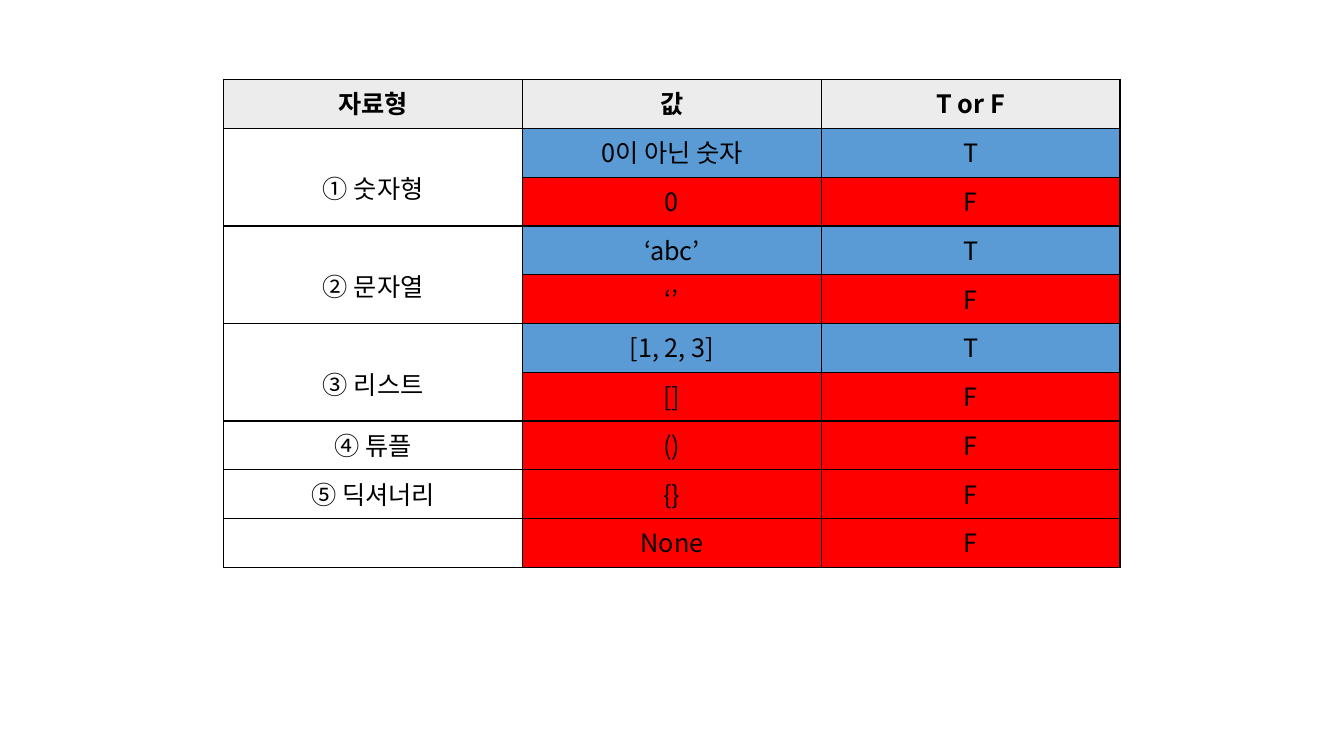
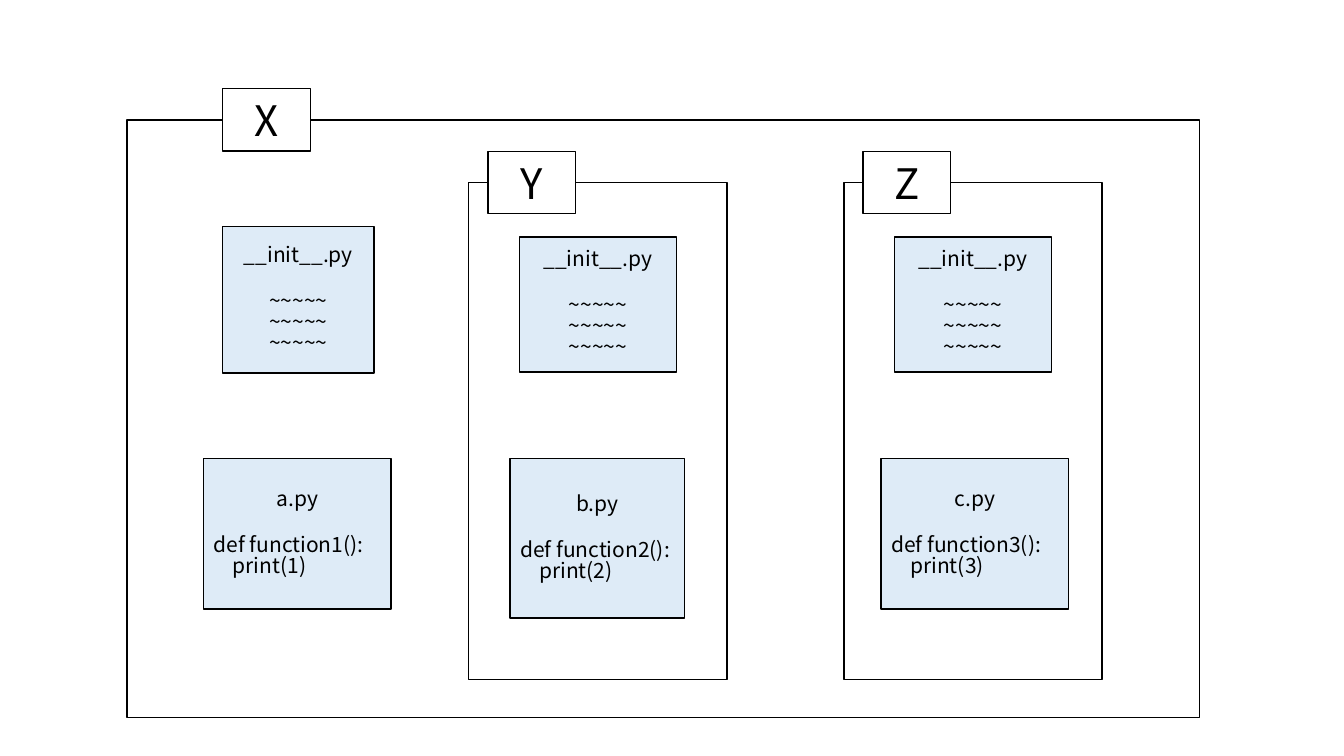
from lxml import etree
from pptx import Presentation
from pptx.dml.color import RGBColor
from pptx.enum.shapes import MSO_SHAPE
from pptx.enum.text import MSO_ANCHOR, PP_ALIGN
from pptx.oxml.ns import qn
from pptx.util import Inches, Pt

RECT = MSO_SHAPE.RECTANGLE
MIDDLE = MSO_ANCHOR.MIDDLE
CENTER, LEFT = PP_ALIGN.CENTER, PP_ALIGN.LEFT


class Theme:
    font = "Noto Sans CJK KR"
    ink, paper, header = "000000", "FFFFFF", "ECECEC"
    true, false, file = "5B9BD5", "FF0000", "DEEBF7"
    table_size, label_size, code_size = 18, 30, 15
    line_width = 1
    code_spacing = 0.83
    blank_line = 18


HEADERS = ["자료형", "값", "T or F"]
TYPES = [
    ("① 숫자형", [("0이 아닌 숫자", "T"), ("0", "F")]),
    ("② 문자열", [("‘abc’", "T"), ("‘’", "F")]),
    ("③ 리스트", [("[1, 2, 3]", "T"), ("[]", "F")]),
    ("④ 튜플", [("()", "F")]),
    ("⑤ 딕셔너리", [("{}", "F")]),
    ("", [("None", "F")]),
]
TABLE_BOX = (2.22, 0.79, 8.89, 4.84)

PACKAGES = [
    {"name": "X", "panel": (1.26, 1.19, 10.64, 5.93), "label_dx": 0.95,
     "init": (2.21, 2.25, 1.5, 1.45), "module": (2.02, 4.55, 1.86, 1.49)},
    {"name": "Y", "panel": (4.65, 1.81, 2.56, 4.93), "label_dx": 0.19,
     "init": (5.15, 2.35, 1.56, 1.34), "module": (5.06, 4.55, 1.73, 1.58)},
    {"name": "Z", "panel": (8.37, 1.81, 2.56, 4.93), "label_dx": 0.19,
     "init": (8.87, 2.35, 1.56, 1.34), "module": (8.74, 4.55, 1.86, 1.49)},
]
MODULES = "abc"
LABEL_W, LABEL_H = 0.87, 0.62
CODE_INDENT = 0.19


def rgb(value):
    return RGBColor.from_string(value)


def write(p, text, size, bold=False, **format_values):
    r = p.add_run()
    r.text = text
    for name, value in {"name": Theme.font, "size": Pt(size), "bold": bold}.items():
        setattr(r.font, name, value)
    r.font.color.rgb = rgb(Theme.ink)
    for name, value in format_values.items():
        setattr(p, name, value)


def paint(fill, color):
    if color:
        fill.solid()
        fill.fore_color.rgb = rgb(color)
    else:
        fill.background()


def add_borders(cell):
    tcPr = cell._tc.get_or_add_tcPr()
    for side in ("a:lnL", "a:lnR", "a:lnT", "a:lnB"):
        ln = etree.SubElement(tcPr, qn(side), w=str(Pt(Theme.line_width)))
        fill = etree.SubElement(ln, qn("a:solidFill"))
        etree.SubElement(fill, qn("a:srgbClr"), val=Theme.ink)


def set_cell(cell, text, color=None, bold=False):
    paint(cell.fill, color)
    if text:
        write(cell.text_frame.paragraphs[0], text, Theme.table_size, bold, alignment=CENTER)


def add_truth_table(s):
    row_count = 1 + sum(len(values) for _, values in TYPES)
    table = s.shapes.add_table(row_count, len(HEADERS), *map(Inches, TABLE_BOX)).table
    table.first_row = table.horz_banding = False
    for cell in table.iter_cells():
        add_borders(cell)
    for col, text in enumerate(HEADERS):
        set_cell(table.cell(0, col), text, Theme.header, True)
    row = 1
    for type_name, values in TYPES:
        first = table.cell(row, 0)
        if len(values) > 1:
            first.merge(table.cell(row + len(values) - 1, 0))
            first.margin_top = Inches(0.41)
        set_cell(first, type_name)
        for value, truth in values:
            color = Theme.true if truth == "T" else Theme.false
            set_cell(table.cell(row, 1), value, color)
            set_cell(table.cell(row, 2), truth, color)
            row += 1


def add_box(s, box, color=None):
    sp = s.shapes.add_shape(RECT, *map(Inches, box))
    sp.shadow.inherit = False
    paint(sp.fill, color)
    sp.line.color.rgb = rgb(Theme.ink)
    sp.line.width = Pt(Theme.line_width)
    tf = sp.text_frame
    tf.word_wrap = True
    tf.vertical_anchor = MIDDLE
    return tf


def add_file(s, box, title, lines, align, last_indent=0):
    tf = add_box(s, box, Theme.file)
    write(tf.paragraphs[0], title, Theme.code_size, alignment=CENTER,
          line_spacing=Theme.code_spacing)
    for i, line in enumerate(lines):
        p = tf.add_paragraph()
        write(p, line, Theme.code_size, alignment=align, line_spacing=Theme.code_spacing,
              space_before=Pt(0 if i else Theme.blank_line))
    p._p.get_or_add_pPr().set("marL", str(Inches(last_indent)))


def add_package(s, number, package):
    left, top = package["panel"][:2]
    add_box(s, package["panel"])
    label = (left + package["label_dx"], top - LABEL_H / 2, LABEL_W, LABEL_H)
    tf = add_box(s, label, Theme.paper)
    write(tf.paragraphs[0], package["name"], Theme.label_size, alignment=CENTER)
    add_file(s, package["init"], "__init__.py", ["~~~~~"] * 3, CENTER)
    code = [f"def function{number}():", f"print({number})"]
    add_file(s, package["module"], f"{MODULES[number - 1]}.py", code, LEFT, CODE_INDENT)


prs = Presentation()
prs.slide_width, prs.slide_height = Inches(13.33), Inches(7.5)
blank = prs.slide_layouts[6]
add_truth_table(prs.slides.add_slide(blank))
s = prs.slides.add_slide(blank)
for number, package in enumerate(PACKAGES, 1):
    add_package(s, number, package)
prs.save("out.pptx")
